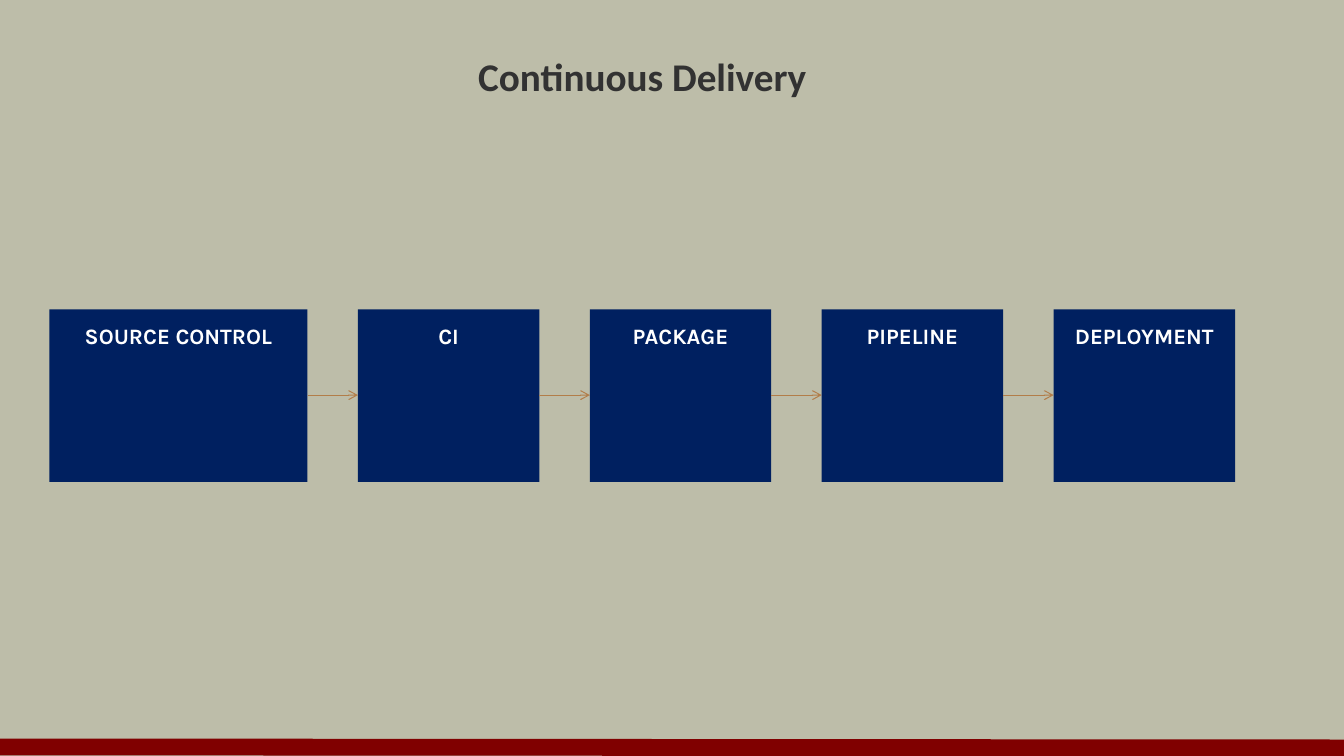
"""Build the Continuous Delivery pipeline slide."""
from dataclasses import dataclass

from lxml.etree import SubElement
from pptx import Presentation
from pptx.dml.color import RGBColor
from pptx.enum.shapes import MSO_CONNECTOR as Connector, MSO_SHAPE as Shape
from pptx.enum.text import MSO_ANCHOR as Anchor, PP_ALIGN as Align
from pptx.oxml.ns import qn
from pptx.slide import Slide
from pptx.text.text import TextFrame
from pptx.util import Inches, Pt

SAND = RGBColor(0xBD, 0xBD, 0xA9)
MAROON = RGBColor(0x80, 0x00, 0x00)
NAVY = RGBColor(0x00, 0x20, 0x60)
COPPER = RGBColor(0xB2, 0x7D, 0x49)
CHARCOAL = RGBColor(0x32, 0x32, 0x32)
WHITE = RGBColor(0xFF, 0xFF, 0xFF)

STAGE_LEFT, STAGE_TOP, STAGE_HEIGHT, STAGE_GAP = 0.49, 3.07, 1.71, 0.5
ARROW_Y = 3.92


@dataclass(frozen=True)
class Stage:
    label: str
    width: float = 1.8


STAGES = [
    Stage("SOURCE CONTROL", 2.56),
    Stage("CI"),
    Stage("PACKAGE"),
    Stage("PIPELINE"),
    Stage("DEPLOYMENT"),
]


def write_text(frame: TextFrame, text: str, *, font: str, size: float,
               color: RGBColor, anchor: Anchor, spacing: float = 1.0,
               inset: tuple[float, float] = (0.1, 0.05)) -> None:
    frame.word_wrap = True
    frame.vertical_anchor = anchor
    frame.margin_left = frame.margin_right = Inches(inset[0])
    frame.margin_top = frame.margin_bottom = Inches(inset[1])
    paragraph = frame.paragraphs[0]
    paragraph.alignment = Align.CENTER
    paragraph.line_spacing = spacing
    run = paragraph.add_run()
    run.text = text
    run.font.name = font
    run.font.size = Pt(size)
    run.font.bold = True
    run.font.color.rgb = color


def draw_line(slide: Slide, start: tuple[float, float], end: tuple[float, float],
              color: RGBColor, weight: float, arrow: bool = False) -> None:
    line = slide.shapes.add_connector(
        Connector.STRAIGHT, *map(Inches, (*start, *end)))
    line.line.color.rgb = color
    line.line.width = Pt(weight)
    if arrow:
        SubElement(line.line._get_or_add_ln(), qn("a:tailEnd"), type="arrow")
    SubElement(line._element.spPr, qn("a:effectLst"))


def draw_stage(slide: Slide, stage: Stage, left: float) -> None:
    box = slide.shapes.add_shape(
        Shape.RECTANGLE,
        *map(Inches, (left, STAGE_TOP, stage.width, STAGE_HEIGHT)))
    box.shadow.inherit = False
    box.fill.solid()
    box.fill.fore_color.rgb = NAVY
    box.line.fill.background()
    write_text(box.text_frame, stage.label, font="Karla", size=15.7, color=WHITE,
               anchor=Anchor.TOP, spacing=0.9, inset=(0.2, 0.16))


def main() -> None:
    deck = Presentation()
    deck.slide_width, deck.slide_height = Inches(13.33), Inches(7.5)
    slide = deck.slides.add_slide(deck.slide_layouts[6])
    slide.background.fill.solid()
    slide.background.fill.fore_color.rgb = SAND

    draw_line(slide, (0, 7.41), (13.33, 7.42), MAROON, 12)
    title = slide.shapes.add_textbox(*map(Inches, (0, 0.12, 12.74, 1.27)))
    write_text(title.text_frame, "Continuous Delivery", font="Calibri", size=28,
               color=CHARCOAL, anchor=Anchor.MIDDLE)

    left = STAGE_LEFT
    for index, stage in enumerate(STAGES):
        if index:
            draw_line(slide, (left - STAGE_GAP, ARROW_Y), (left, ARROW_Y),
                      COPPER, 0.75, arrow=True)
        draw_stage(slide, stage, left)
        left += stage.width + STAGE_GAP

    deck.save("out.pptx")


if __name__ == "__main__":
    main()
